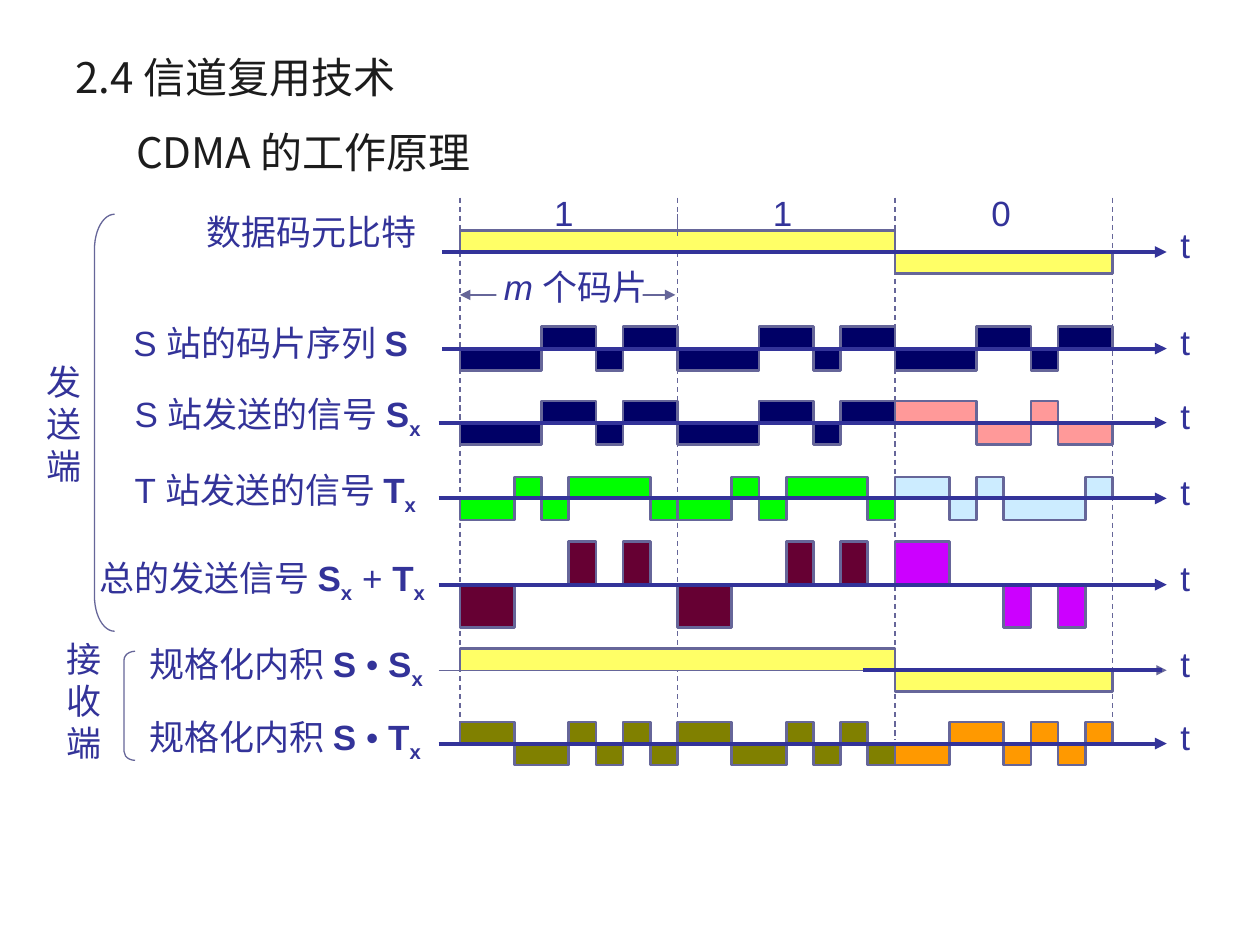
import itertools

import pptx
import pptx.dml.color
import pptx.enum.dml
import pptx.enum.shapes
import pptx.enum.text
import pptx.oxml.ns
import pptx.util
from lxml import etree

Pt = pptx.util.Pt
SHAPE = pptx.enum.shapes.MSO_SHAPE
ALIGN = pptx.enum.text.PP_ALIGN
MIDDLE = pptx.enum.text.MSO_ANCHOR.MIDDLE
qn = pptx.oxml.ns.qn

CJK = "Noto Sans CJK SC"
BLUE, GREY, INK = "333399", "666699", "1C1C1C"
NAVY, YELLOW, GREEN, WINE, OLIVE = "000066", "FFFF66", "00FF00", "660033", "808000"


def color(code):
    return pptx.dml.color.RGBColor.from_string(code)


def add_run(par, text, size=20, face="Arial", ink=BLUE, bold=False, italic=False, sub=False):
    run = par.add_run()
    run.text = text
    font = run.font
    font.size, font.name, font.bold, font.italic = Pt(size), face, bold, italic
    font.color.rgb = color(ink)
    props = run.font._element
    etree.SubElement(props, qn("a:ea")).set("typeface", CJK)
    if sub:
        props.set("baseline", "-25000")


class Sheet:
    chip = 15.54
    left = 262.8

    def __init__(self, slide):
        self.shapes = slide.shapes

    def text(self, x, y, w, h, lines, wrap=False, anchor=None, align=None, space=None, **form):
        """Each line is a list of (text, format) pairs."""
        frame = self.shapes.add_textbox(Pt(x), Pt(y), Pt(w), Pt(h)).text_frame
        frame.word_wrap = wrap
        if anchor is not None:
            frame.vertical_anchor = anchor
        for i, line in enumerate(lines):
            par = frame.add_paragraph() if i else frame.paragraphs[0]
            par.alignment, par.line_spacing = align, space
            for part, extra in line:
                add_run(par, part, **{**form, **extra})

    def line(self, x1, y1, x2, y2, ink=GREY, width=0.75, dash=False, head=False, tail=False):
        link = self.shapes.add_connector(
            pptx.enum.shapes.MSO_CONNECTOR.STRAIGHT, Pt(x1), Pt(y1), Pt(x2), Pt(y2))
        link.line.color.rgb, link.line.width = color(ink), Pt(width)
        if dash:
            link.line.dash_style = pptx.enum.dml.MSO_LINE.DASH
        props = link._element.spPr
        for tag, wanted in (("a:headEnd", head), ("a:tailEnd", tail)):
            if wanted:
                etree.SubElement(props.find(qn("a:ln")), qn(tag)).set("type", "triangle")
        etree.SubElement(props, qn("a:effectLst"))

    def paint(self, shape, fill=None, ink=None, width=0.75):
        shape.shadow.inherit = False
        if fill:
            shape.fill.solid()
            shape.fill.fore_color.rgb = color(fill)
        else:
            shape.fill.background()
        if ink:
            shape.line.color.rgb, shape.line.width = color(ink), Pt(width)
        else:
            shape.line.fill.background()

    def rect(self, x, y, w, h, fill):
        self.paint(self.shapes.add_shape(SHAPE.RECTANGLE, Pt(x), Pt(y), Pt(w), Pt(h)), fill)

    def brace(self, x, y, w, h, bend):
        shape = self.shapes.add_shape(SHAPE.LEFT_BRACKET, Pt(x), Pt(y), Pt(w), Pt(h))
        shape.adjustments[0] = bend
        self.paint(shape, ink=GREY)

    def wave(self, first, y, chips, fill, high):
        """Draw chips (+, - or 0) around the axis at y, from chip number first."""
        x = self.left + first * self.chip
        pen = self.shapes.build_freeform(Pt(x), Pt(y))
        spots = []
        for sign, group in itertools.groupby(chips):
            level = y - high * "-0+".index(sign) + high
            end = x + self.chip * len(list(group))
            spots += [(Pt(x), Pt(level)), (Pt(end), Pt(level))]
            x = end
        spots.append((Pt(x), Pt(y)))
        pen.add_line_segments(spots, close=False)
        self.paint(pen.convert_to_shape(), fill, GREY, 1.5)


def flip(chips):
    return chips.translate(str.maketrans("+-", "-+"))


def label(plain, *rest):
    """Plain words, then parts: 'x' is a subscript, letters are bold."""
    return [(plain, {})] + [
        (part, dict(sub=part == "x", bold=part.strip() not in ("+", "•"))) for part in rest]


# Chip codes and the signals made from them
S, T = "---++-++", "--+-+++-"
SUM, DOT = "--00+0+0", "++--+-+-"
DATA = [("+" * 16 + "-" * 8, YELLOW)]


def three(code, fill, last, final=None):
    return [(code, fill), (code, fill), (final or flip(code), last)]


# Axis height, axis start, wave height, signals, label box (x, y, w) and label
ROWS = [
    (144, 252.7, 12.3, DATA, (110.9, 116.6, 134.6), label("数据码元比特")),
    (199.2, 252.7, 12.5, three(S, NAVY, NAVY, S), (69.1, 183.6, 186.5),
     label("S 站的码片序列 ", "S")),
    (241.5, 250.6, 12.4, three(S, NAVY, "FF9999"), (69.8, 221, 193),
     label("S 站发送的信号 ", "S", "x")),
    (284.8, 250.6, 12.3, three(T, GREEN, "CCECFF"), (69.8, 264.2, 190.8),
     label("T 站发送的信号 ", "T", "x")),
    (334.1, 250.6, 24.5, three(SUM, WINE, "CC00FF"), (49.7, 314.6, 211),
     label("总的发送信号 ", "S", "x", " + ", "T", "x")),
    (383, 250.6, 12.3, DATA, (78.5, 363.6, 180.7),
     label("规格化内积 ", "S ", "• ", "S", "x")),
    (424.9, 250.6, 12.3, three(DOT, OLIVE, "FF9900"), (78.5, 405.4, 179.3),
     label("规格化内积 ", "S ", "• ", "T", "x")),
]


def main():
    deck = pptx.Presentation()
    deck.slide_width, deck.slide_height = Pt(720), Pt(540)
    sheet = Sheet(deck.slides.add_slide(deck.slide_layouts[6]))
    bit = 8 * sheet.chip
    end = 666.7

    # Titles
    title = dict(wrap=True, anchor=MIDDLE, size=24, face=CJK, ink=INK)
    sheet.text(36, 21.6, 648, 43.9, [[("2.4 信道复用技术", {})]], **title)
    sheet.text(59.8, 60.5, 232.6, 52.6, [[("CDMA 的工作原理 ", {})]], align=ALIGN.CENTER, **title)

    # Bit borders
    for i, foot in enumerate((412.6, 411.1, 422.6, 411.8)):
        x = sheet.left + i * bit
        sheet.line(x, 113, x, foot, dash=True)

    # Signals with axes and labels
    for y, start, high, parts, (x, top, w), words in ROWS:
        first = 0
        for chips, fill in parts:
            sheet.wave(first, y, chips, fill, high)
            first += len(chips)
        if y == 383:
            sheet.line(start, y, end, y, tail=True)
            sheet.line(493.2, y, 663.8, y, BLUE, 2.25)
        else:
            sheet.line(start, y, end, y, BLUE, 2.25, tail=True)
        sheet.text(667.4, y - 19.6, 19.4, 31.7, [[("t", {})]])
        sheet.text(x, top, w, 31.7, [words], space=0.85 if y == 199.2 else None)

    # Data bits and the tick between them
    for i, digit in enumerate("110"):
        sheet.text(309.6 + i * 124.9, 105.8, 25.2, 31.7, [[(digit, {})]])
    sheet.line(sheet.left + bit, 122.4, sheet.left + bit, 134.6)

    # Chip span
    sheet.line(sheet.left, 168.5, 385.9, 168.5, head=True, tail=True)
    sheet.rect(283.7, 156.2, 83.5, 21.6, "FFFFFF")
    sheet.text(280.8, 148.3, 101.5, 31.7, [[("m ", dict(italic=True)), ("个码片", {})]])

    # Sender and receiver groups
    for x, y, word in ((19.4, 202.3, "发送端"), (31, 360.7, "接收端")):
        sheet.text(x, y, 34.6, 79.2, [[(sign, {})] for sign in word])
    sheet.brace(54, 122.4, 11.5, 238.3, 1.75)
    sheet.brace(70.9, 372.2, 6.3, 62.3, 0.8)

    deck.save("out.pptx")


if __name__ == "__main__":
    main()
